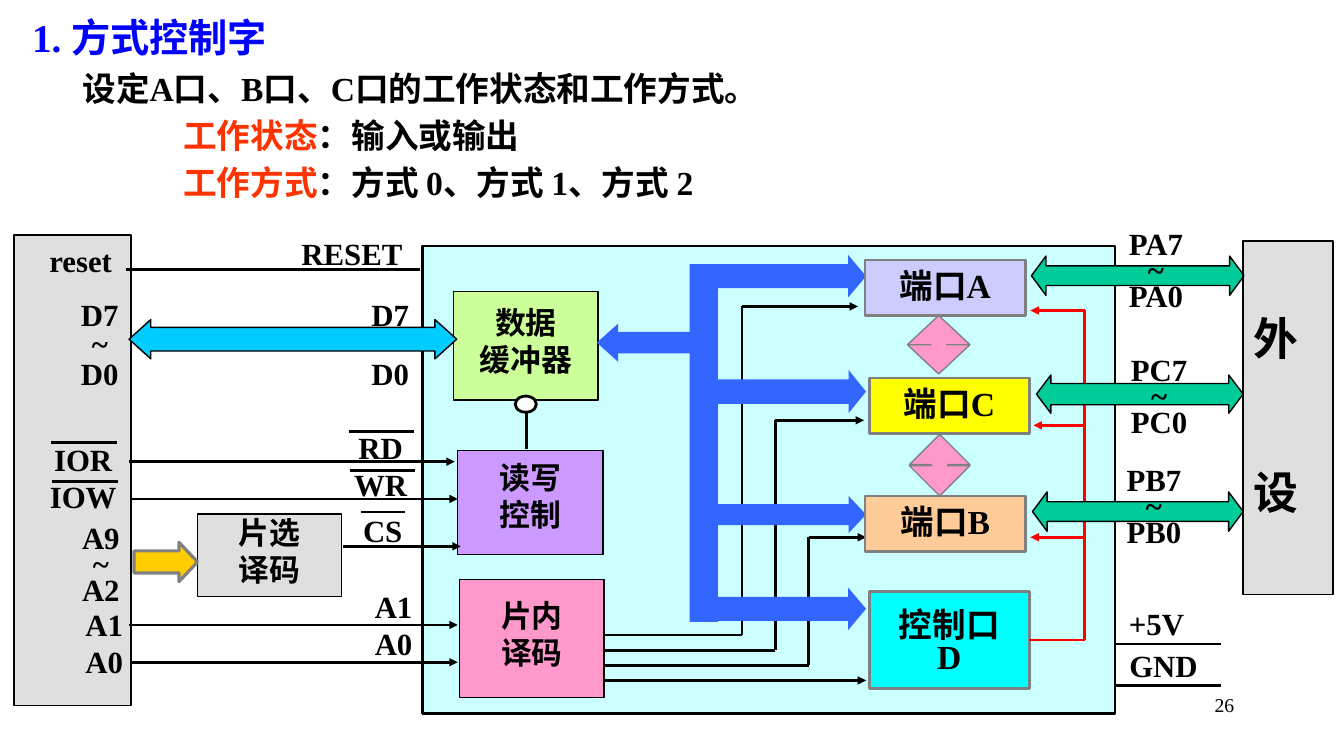
from lxml import etree
from pptx import Presentation
from pptx.dml.color import RGBColor
from pptx.enum.shapes import MSO_CONNECTOR, MSO_SHAPE
from pptx.enum.text import MSO_ANCHOR, PP_ALIGN
from pptx.oxml.ns import qn
from pptx.util import Inches, Pt

RECT, OVAL = MSO_SHAPE.RECTANGLE, MSO_SHAPE.OVAL
RIGHT_ARROW, LEFT_ARROW = MSO_SHAPE.RIGHT_ARROW, MSO_SHAPE.LEFT_ARROW
TWO_WAY, UP_DOWN = MSO_SHAPE.LEFT_RIGHT_ARROW, MSO_SHAPE.UP_DOWN_ARROW
LEFT, CENTER, RIGHT, JUSTIFY = PP_ALIGN.LEFT, PP_ALIGN.CENTER, PP_ALIGN.RIGHT, PP_ALIGN.JUSTIFY
FONT = "Times New Roman"
BLACK, GRAY, SILVER, RED = "000000", "808080", "C0C0C0", "FF0000"
BUS_BLUE, GREEN, PINK = "3366FF", "00CC99", "FF99CC"
LINE_HEIGHT = 0.35

# indent, size, spans of (text, colour)
HEADING = [
    (0, 28, [("1. 方式控制字", "0000FF")]),
    (0.5, 24, [("设定A口、B口、C口的工作状态和工作方式。", BLACK)]),
    (1.5, 24, [("工作状态", "FF3300"), ("：输入或输出", BLACK)]),
    (1.5, 24, [("工作方式", "FF3300"), ("：方式 0、方式 1、方式 2", BLACK)]),
]

# left, top, width, height, fill, line width, top inset, lines
BLOCKS = [
    (0.14, 2.33, 1.16, 4.67, SILVER, 1, 0, []),
    (1.96, 5.1, 1.43, 0.82, SILVER, 1, 0, ["片选", "译码"]),
    (4.19, 2.44, 6.87, 4.64, "CCFFFF", 2, 0, []),
    (4.5, 2.89, 1.43, 1.08, "CCFF99", 1, 0.12, ["数据", "缓冲器"]),
    (4.54, 4.47, 1.44, 1.03, "CC99FF", 1, 0.08, ["读写", "控制"]),
    (4.56, 5.75, 1.43, 1.17, PINK, 1, 0.17, ["片内", "译码"]),
]

# left, top, height, fill, top inset, line spacing, lines
PORTS = [
    (8.58, 2.58, 0.55, "CCCCFF", 0.16, 0.7, ["端口A"]),
    (8.62, 3.75, 0.55, "FFFF00", 0.16, 0.7, ["端口C"]),
    (8.58, 4.92, 0.55, "FFCC99", 0.16, 0.7, ["端口B"]),
    (8.62, 5.87, 0.96, "00FFFF", 0.2, 0.8, ["控制口", "D"]),
]
PORT_WIDTH = 1.59

# kind, left, top, width, height, fill, line colour, line width, adjustments
ARROWS = [
    (RIGHT_ARROW, 1.33, 5.38, 0.63, 0.39, "FFCC00", GRAY, 2.25, (0.561, 0.473)),
    (LEFT_ARROW, 5.92, 3.21, 0.99, 0.38, BUS_BLUE, None, 0, (0.561, 0.556)),
    (TWO_WAY, 10.23, 2.54, 2.11, 0.39, GREEN, BLACK, 1, (0.5, 0.37)),
    (TWO_WAY, 10.28, 3.72, 2.05, 0.38, GREEN, BLACK, 1, (0.555, 0.376)),
    (TWO_WAY, 10.24, 4.88, 2.09, 0.39, GREEN, BLACK, 1, (0.5, 0.372)),
    (UP_DOWN, 9, 3.13, 0.62, 0.58, PINK, GRAY, 1, (0.5, 0.25)),
    (UP_DOWN, 9.02, 4.31, 0.6, 0.61, PINK, GRAY, 1, (0.5, 0.269)),
]
BUS_BRANCHES = [(2.53, 0.42, 0.421), (3.67, 0.43, 0.404), (4.92, 0.37, 0.47), (5.83, 0.42, 0.421)]

# left, top, width, alignment, line spacing, lines
LABELS = [
    (0.32, 2.4, 0.96, CENTER, 1, ["reset"]),
    (0.51, 3, 0.96, CENTER, 0.8, ["D7", "~", "D0"]),
    (0.36, 4.37, 0.93, CENTER, 1, ["IOR", "IOW"]),
    (0.52, 5.25, 0.96, CENTER, 0.7, ["A9", "~", "A2"]),
    (0.26, 6.01, 0.96, RIGHT, 1, ["A1", "A0"]),
    (2.73, 2.33, 1.52, CENTER, 1, ["RESET"]),
    (3.39, 3, 0.96, CENTER, 0.8, ["D7", "~", "D0"]),
    (3.31, 4.25, 0.93, CENTER, 1, ["RD", "WR"]),
    (3.47, 5.08, 0.65, CENTER, 1, ["CS"]),
    (3.13, 5.83, 0.96, RIGHT, 1, ["A1", "A0"]),
    (11.04, 2.33, 0.85, CENTER, 0.7, ["PA7", "~", "PA0"]),
    (11.07, 3.58, 0.85, CENTER, 0.7, ["PC7", "~", "PC0"]),
    (11.02, 4.67, 0.85, CENTER, 0.7, ["PB7", "~", "PB0"]),
    (10.99, 6, 0.96, CENTER, 1, ["+5V"]),
    (11.06, 6.42, 0.96, CENTER, 1, ["GND"]),
]

# start, end, height of each level wire
PLAIN_WIRES = [
    (1.25, 4.17, 2.67), (11.06, 12.11, 6.39), (11.06, 12.11, 6.8),
    (0.51, 1.16, 4.39), (0.52, 1.17, 4.78),
    (3.46, 4.11, 4.28), (3.47, 4.12, 4.67), (3.58, 4.02, 5.08),
]
SIGNAL_WIRES = [(1.28, 4.51, 4.58), (1.31, 4.54, 4.95), (3.4, 4.57, 5.42),
                (1.28, 4.54, 6.2), (1.3, 4.54, 6.57)]
SELECT_TARGETS = [(8.51, 3.04), (8.57, 4.17), (8.59, 5.33)]
CONTROL_TARGETS = [(10.22, 3.08), (10.25, 4.22), (10.22, 5.33)]
CONTROL_X, CONTROL_Y = 10.76, 6.35


def color(value):
    return RGBColor.from_string(value)


def style(span, size, shade=BLACK, bold=True):
    span.font.name, span.font.size, span.font.bold = FONT, Pt(size), bold
    span.font.color.rgb = color(shade)


def write(box, lines, size=22, align=CENTER, spacing=1, inset=(0, 0), gap=0, bold=True):
    """Fill a box from its top; inset is (left and right, top), gap is points between lines."""
    frame = box.text_frame
    frame.word_wrap = True
    frame.vertical_anchor = MSO_ANCHOR.TOP
    frame.margin_left = frame.margin_right = Inches(inset[0])
    frame.margin_top, frame.margin_bottom = Inches(inset[1]), 0
    frame.text = "\n".join(lines)
    for index, para in enumerate(frame.paragraphs):
        para.alignment = align
        para.line_spacing = spacing
        if index and gap:
            para.space_before = Pt(gap)
        for span in para.runs:
            style(span, size, bold=bold)


def text_box(page, *place):
    return page.shapes.add_textbox(*map(Inches, place))


def shape(page, kind, place, fill, line=None, width=0, adjust=()):
    item = page.shapes.add_shape(kind, *map(Inches, place))
    item.shadow.inherit = False
    item.fill.solid()
    item.fill.fore_color.rgb = color(fill)
    if fill == SILVER:
        rgb = item.fill._xPr.find(f"{qn('a:solidFill')}/{qn('a:srgbClr')}")
        etree.SubElement(rgb, qn("a:alpha"), val="50000")
    if line:
        item.line.color.rgb = color(line)
        item.line.width = Pt(width)
    else:
        item.line.fill.background()
    for index, value in enumerate(adjust):
        item.adjustments[index] = value
    return item


def wire(page, points, shade=BLACK, arrow=False):
    """Join the points by straight segments, with an arrowhead on the last if asked."""
    segments = []
    for start, end in zip(points, points[1:]):
        segment = page.shapes.add_connector(MSO_CONNECTOR.STRAIGHT, *map(Inches, start + end))
        segment.line.color.rgb = color(shade)
        segment.line.width = Pt(2)
        etree.SubElement(segment._element.spPr, qn("a:effectLst"))
        segments.append(segment)
    if arrow:
        etree.SubElement(segments[-1].line._get_or_add_ln(), qn("a:tailEnd"), type="triangle")
    return segments


def add_heading(page):
    frame = text_box(page, 0.22, 0.08, 12.78, 2.1).text_frame
    frame.word_wrap = True
    for index, (indent, size, spans) in enumerate(HEADING):
        para = frame.paragraphs[0] if index == 0 else frame.add_paragraph()
        para.alignment = JUSTIFY
        para.space_after = Pt(size * 0.2)
        para._p.get_or_add_pPr().set("marL", str(Inches(indent)))
        for text, shade in spans:
            span = para.add_run()
            span.text = text
            style(span, size, shade)


def add_wires(page):
    for start, end, y in PLAIN_WIRES:
        wire(page, [(start, y), (end, y)])
    for start, end, y in SIGNAL_WIRES:
        wire(page, [(start, y), (end, y)], arrow=True)
    for index, (end, y) in enumerate(SELECT_TARGETS):
        x, row = 7.36 + 0.33 * index, 6.3 + 0.15 * index
        wire(page, [(5.98, row), (x, row), (x, y), (end, y)], arrow=True)
    wire(page, [(5.98, 6.75), (8.59, 6.75)], arrow=True)
    wire(page, [(5.22, 4.45), (5.22, 4.1)])
    for end, y in CONTROL_TARGETS:
        wire(page, [(CONTROL_X, y), (end, y)], RED, arrow=True)
    wire(page, [(CONTROL_X, CONTROL_TARGETS[0][1]), (CONTROL_X, CONTROL_Y)], RED)


def add_arrows(page):
    shape(page, RECT, (6.84, 2.62, 0.28, 3.55), BUS_BLUE)
    for top, height, head in BUS_BRANCHES:
        shape(page, RIGHT_ARROW, (7.12, top, 1.47, height), BUS_BLUE, adjust=(0.565, head))
    for kind, left, top, width, height, fill, line, weight, adjust in ARROWS:
        shape(page, kind, (left, top, width, height), fill, line, weight, adjust)


def main():
    deck = Presentation()
    deck.slide_width, deck.slide_height = Inches(13.33), Inches(7.5)
    page = deck.slides.add_slide(deck.slide_layouts[6])
    add_heading(page)
    write(text_box(page, 9.56, 6.83, 2.78, 0.5), ["26"], 14, RIGHT, inset=(0.1, 0.05), bold=False)
    for left, top, width, height, fill, weight, inset, lines in BLOCKS:
        block = shape(page, RECT, (left, top, width, height), fill, BLACK, weight)
        if lines:
            write(block, lines, inset=(0, inset))
    add_wires(page)
    shape(page, OVAL, (5.11, 3.93, 0.21, 0.16), "FFFFFF", BLACK, 2)
    add_arrows(page)
    for left, top, height, fill, inset, spacing, lines in PORTS:
        port = shape(page, RECT, (left, top, PORT_WIDTH, height), fill, GRAY, 2)
        write(port, lines, 24, spacing=spacing, inset=(0, inset))
    control_wire = wire(page, [(10.21, CONTROL_Y), (CONTROL_X, CONTROL_Y)], RED)[0]
    control_wire.begin_connect(port, 3)
    peripheral = shape(page, RECT, (12.33, 2.39, 0.89, 3.51), SILVER, BLACK, 1)
    write(peripheral, ["外", "设"], 32, LEFT, inset=(0.1, 0.69), gap=72)
    for left, top, width, align, spacing, lines in LABELS:
        label = text_box(page, left, top, width, LINE_HEIGHT * len(lines))
        write(label, lines, align=align, spacing=spacing)
    shape(page, TWO_WAY, (1.28, 3.17, 3.25, 0.39), "00CCFF", BLACK, 1, (0.602, 0.553))
    deck.save("out.pptx")


if __name__ == "__main__":
    main()
